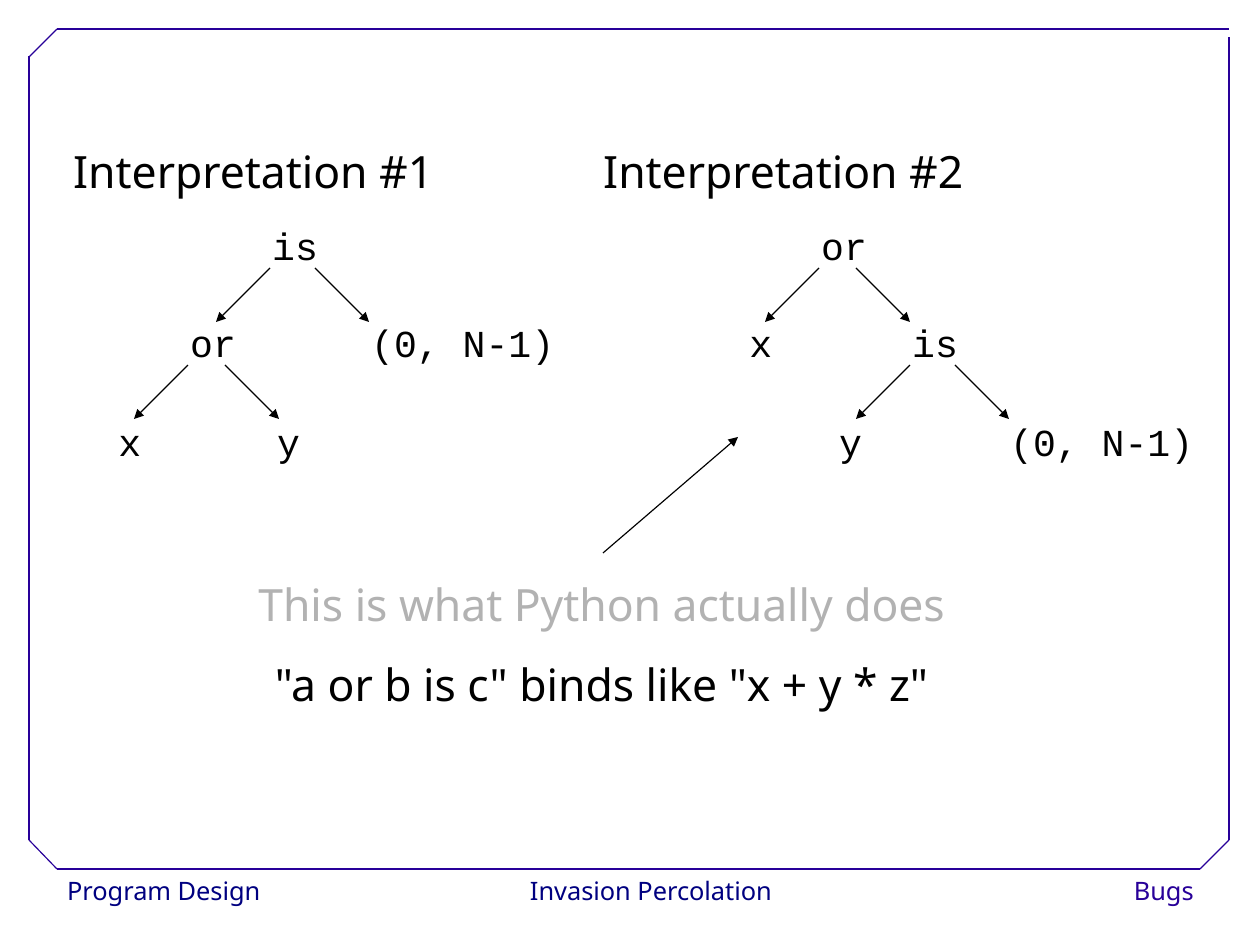
from dataclasses import dataclass

from lxml import etree
from pptx import Presentation
from pptx.dml.color import RGBColor
from pptx.enum.shapes import MSO_CONNECTOR, MSO_SHAPE
from pptx.enum.text import MSO_ANCHOR, MSO_AUTO_SIZE, PP_ALIGN
from pptx.oxml.ns import qn
from pptx.util import Emu, Pt

STRAIGHT = MSO_CONNECTOR.STRAIGHT
RECTANGLE = MSO_SHAPE.RECTANGLE
TOP = MSO_ANCHOR.TOP
FIT_NONE, FIT_SHAPE = MSO_AUTO_SIZE.NONE, MSO_AUTO_SIZE.SHAPE_TO_FIT_TEXT
LEFT, CENTER, RIGHT = PP_ALIGN.LEFT, PP_ALIGN.CENTER, PP_ALIGN.RIGHT
EMU_PER_PX = 8000


@dataclass(frozen=True)
class Theme:
    white: str = "FFFFFF"
    black: str = "000000"
    grey: str = "B2B2B2"
    navy: str = "000080"
    violet: str = "280099"
    body_font: str = "Noto Sans"
    code_font: str = "Courier New"
    footer_size: int = 16
    code_size: int = 24
    body_size: int = 28
    line_width: float = 0.75


THEME = Theme()
FOOTERS = [
    ("Program Design", 56, 206, LEFT, THEME.navy),
    ("Invasion Percolation", 523, 256, CENTER, THEME.navy),
    ("Bugs", 1045, 160, RIGHT, THEME.violet),
]
FRAME = [
    ((57, 869), (1200, 869)),
    ((29, 840), (29, 56)),
    ((57, 29), (1229, 29)),
    ((1229, 840), (1229, 37)),
    ((29, 57), (57, 29)),
    ((1200, 869), (1229, 840)),
    ((29, 840), (57, 869)),
]
ROW_TOPS = (205, 302, 401)
NODE_HEIGHT = 63
NODE_WIDTHS = {1: 40, 2: 54, 8: 171}
BRANCH_STARTS = {"is": (9, 54), "or": (9, 46)}
BRANCH_SPAN = 54
TREES = [
    ("Interpretation #1", 62, [
        ("is", 261, 0), ("or", 179, 1), ("(0, N-1)", 360, 1),
        ("x", 107, 2), ("y", 266, 2),
    ]),
    ("Interpretation #2", 592, [
        ("or", 810, 0), ("x", 738, 1), ("is", 901, 1),
        ("y", 828, 2), ("(0, N-1)", 999, 2),
    ]),
]
CLAIMS = [
    ("This is what Python actually does", THEME.grey),
    ('"a or b is c" binds like "x + y * z"', THEME.black),
]


def px(count):
    return Emu(count * EMU_PER_PX)


def apply(target, values):
    for name, value in values.items():
        setattr(target, name, value)


class SlideBuilder:
    def __init__(self, page, theme):
        self.page = page
        self.theme = theme

    def add_text(self, shape, lines, font, size, spacing, align=LEFT, fit=FIT_NONE):
        frame = shape.text_frame
        apply(frame, {
            "word_wrap": False, "auto_size": fit, "vertical_anchor": TOP,
        })
        for index, (text, color) in enumerate(lines):
            para = frame.add_paragraph() if index else frame.paragraphs[0]
            apply(para, {"alignment": align, "line_spacing": spacing})
            span = para.add_run()
            span.text = text
            apply(span.font, {"name": font, "size": Pt(size)})
            span.font.color.rgb = RGBColor.from_string(color)

    def footer(self, text, left, width, align, color):
        box = self.page.shapes.add_shape(
            RECTANGLE, px(left), px(869), px(width), px(46))
        box.shadow.inherit = False
        box.fill.solid()
        box.fill.fore_color.rgb = RGBColor.from_string(self.theme.white)
        box.line.fill.background()
        self.add_text(box, [(text, color)], self.theme.body_font,
                      self.theme.footer_size, 1.02, align)

    def prose(self, lines, left, top, width, height, align=LEFT):
        box = self.page.shapes.add_textbox(
            px(left), px(top), px(width), px(height))
        self.add_text(box, lines, self.theme.body_font,
                      self.theme.body_size, 1.5, align, FIT_SHAPE)

    def line(self, start, end, color):
        connector = self.page.shapes.add_connector(
            STRAIGHT, *(px(value) for value in (*start, *end)))
        connector.line.width = Pt(self.theme.line_width)
        connector.line.color.rgb = RGBColor.from_string(color)
        etree.SubElement(connector._element.spPr, qn("a:effectLst"))
        return connector

    def arrow(self, start, end):
        connector = self.line(start, end, self.theme.black)
        outline = connector._element.spPr.find(qn("a:ln"))
        etree.SubElement(outline, qn("a:tailEnd"), type="triangle")

    def node(self, text, left, row):
        top = ROW_TOPS[row]
        box = self.page.shapes.add_textbox(
            px(left), px(top), px(NODE_WIDTHS[len(text)]), px(NODE_HEIGHT))
        self.add_text(box, [(text, self.theme.black)], self.theme.code_font,
                      self.theme.code_size, 1.25)
        bottom = top + NODE_HEIGHT
        for offset, side in zip(BRANCH_STARTS.get(text, ()), (-1, 1)):
            start = left + offset
            self.arrow((start, bottom),
                       (start + side * BRANCH_SPAN, bottom + BRANCH_SPAN))


def main():
    deck = Presentation()
    apply(deck, {"slide_width": px(1260), "slide_height": px(945)})
    page = deck.slides.add_slide(deck.slide_layouts[6])
    builder = SlideBuilder(page, THEME)
    for footer in FOOTERS:
        builder.footer(*footer)
    for start, end in FRAME:
        builder.line(start, end, THEME.violet)
    for heading, left, nodes in TREES:
        builder.prose([(heading, THEME.black)], left, 112, 497, 91)
        for node in nodes:
            builder.node(*node)
    builder.prose(CLAIMS, 190, 545, 823, 171, CENTER)
    builder.arrow((603, 553), (738, 437))
    deck.save("out.pptx")


if __name__ == "__main__":
    main()
